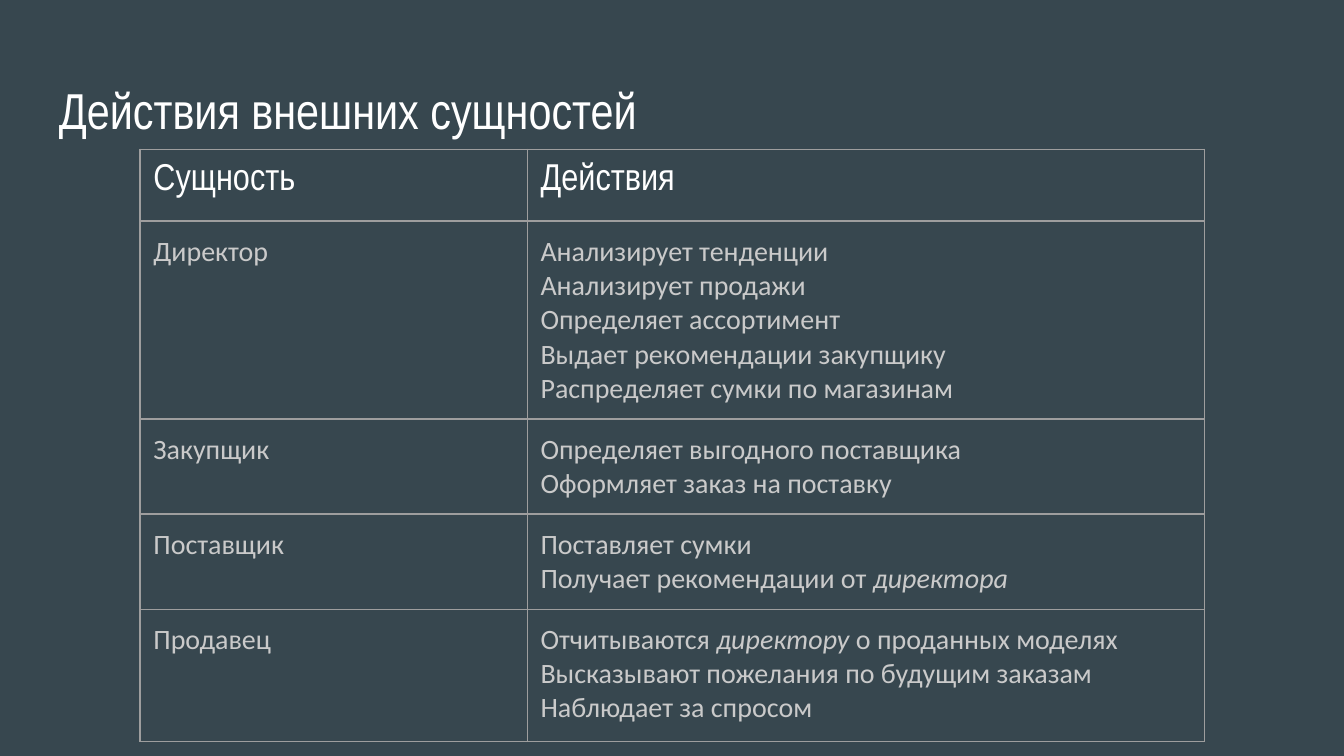
from dataclasses import dataclass

from pptx import Presentation
from pptx.dml.color import RGBColor
from pptx.enum.text import MSO_ANCHOR as Anchor
from pptx.oxml.xmlchemy import OxmlElement as make_element
from pptx.slide import Slide
from pptx.table import _Cell as Cell
from pptx.text.text import TextFrame
from pptx.util import Pt

COLORS = {
    "background": "37474F",
    "heading": "FFFFFF",
    "body": "CACACA",
    "border": "9E9E9E",
}
INSET = Pt(7.2)
COLUMN_WIDTHS = (207.4, 362.9)


@dataclass(frozen=True)
class TextStyle:
    font: str
    size: float
    color: str


@dataclass(frozen=True)
class EntityRow:
    height: float
    entity: str
    actions: tuple[str, ...]
    style: TextStyle


TITLE = TextStyle("Arial Narrow", 27, "heading")
HEADER = TextStyle("Arial Narrow", 20, "heading")
BODY = TextStyle("Calibri", 15, "body")

# Words between asterisks are set in italics
ROWS = (
    EntityRow(34, "Сущность", ("Действия",), HEADER),
    EntityRow(106, "Директор", (
        "Анализирует тенденции",
        "Анализирует продажи",
        "Определяет ассортимент",
        "Выдает рекомендации закупщику",
        "Распределяет сумки по магазинам",
    ), BODY),
    EntityRow(51, "Закупщик", (
        "Определяет выгодного поставщика",
        "Оформляет заказ на поставку",
    ), BODY),
    EntityRow(51, "Поставщик", (
        "Поставляет сумки",
        "Получает рекомендации от *директора*",
    ), BODY),
    EntityRow(71, "Продавец", (
        "Отчитываются *директору* о проданных моделях",
        "Высказывают пожелания по будущим заказам",
        "Наблюдает за спросом",
    ), BODY),
)


def rgb(name: str) -> RGBColor:
    return RGBColor.from_string(COLORS[name])


def write_lines(frame: TextFrame, lines: tuple[str, ...], *, style: TextStyle) -> None:
    for index, line in enumerate(lines):
        paragraph = frame.add_paragraph() if index else frame.paragraphs[0]
        for part_index, part in enumerate(line.split("*")):
            if not part:
                continue
            run = paragraph.add_run()
            run.text = part
            run.font.name = style.font
            run.font.size = Pt(style.size)
            run.font.color.rgb = rgb(style.color)
            run.font.italic = part_index % 2 == 1


def set_insets(target: TextFrame | Cell) -> None:
    target.margin_left = target.margin_right = INSET
    target.margin_top = target.margin_bottom = INSET


def add_borders(cell: Cell) -> None:
    properties = cell._tc.get_or_add_tcPr()
    for tag in ("a:lnL", "a:lnR", "a:lnT", "a:lnB"):
        line = make_element(tag)
        line.set("w", str(Pt(0.75)))
        fill = make_element("a:solidFill")
        color = make_element("a:srgbClr")
        color.set("val", COLORS["border"])
        fill.append(color)
        line.append(fill)
        properties.append(line)


def add_title(slide: Slide, text: str) -> None:
    box = slide.shapes.add_textbox(Pt(24.5), Pt(35.3), Pt(671), Pt(45.4))
    frame = box.text_frame
    frame.word_wrap = True
    frame.vertical_anchor = Anchor.TOP
    set_insets(frame)
    write_lines(frame, (text,), style=TITLE)


def add_entity_table(slide: Slide, rows: tuple[EntityRow, ...]) -> None:
    frame = slide.shapes.add_table(
        len(rows), len(COLUMN_WIDTHS), Pt(75), Pt(80),
        Pt(sum(COLUMN_WIDTHS)), Pt(sum(row.height for row in rows)),
    )
    table = frame.table
    table.first_row = table.horz_banding = False
    for column, width in zip(table.columns, COLUMN_WIDTHS):
        column.width = Pt(width)
    for table_row, row in zip(table.rows, rows):
        table_row.height = Pt(row.height)
        for cell, lines in zip(table_row.cells, ((row.entity,), row.actions)):
            set_insets(cell)
            add_borders(cell)
            cell.fill.background()
            write_lines(cell.text_frame, lines, style=row.style)


def main() -> None:
    presentation = Presentation()
    presentation.slide_width = Pt(720)
    presentation.slide_height = Pt(405)
    slide = presentation.slides.add_slide(presentation.slide_layouts[6])

    # Background
    slide.background.fill.solid()
    slide.background.fill.fore_color.rgb = rgb("background")

    # Title and table of entities
    add_title(slide, "Действия внешних сущностей")
    add_entity_table(slide, ROWS)

    presentation.save("out.pptx")


if __name__ == "__main__":
    main()
